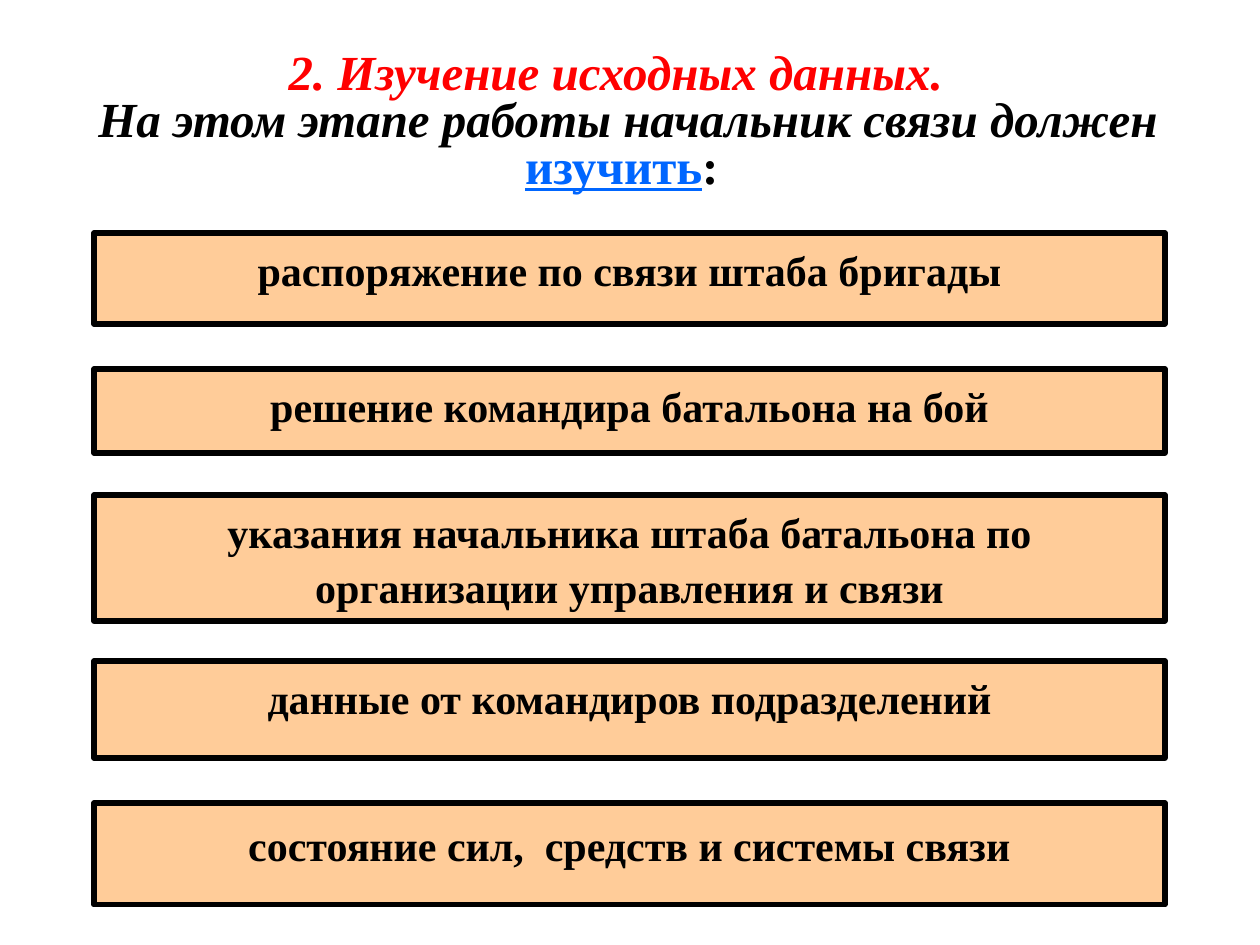
from pptx import Presentation
from pptx.dml.color import RGBColor
from pptx.enum.shapes import MSO_SHAPE
from pptx.enum.text import MSO_ANCHOR, PP_ALIGN
from pptx.util import Emu, Pt

EMU_PER_PX = 914400 // 126
FONT = "Times New Roman"
BLACK = RGBColor(0x00, 0x00, 0x00)
RED = RGBColor(0xFF, 0x00, 0x00)
BLUE = RGBColor(0x00, 0x66, 0xFF)
PEACH = RGBColor(0xFF, 0xCC, 0x99)

# Each heading line is a list of runs: text, colour, italic, underline
HEADING = [
    [("2. Изучение исходных данных.  ", RED, True, False)],
    [
        ("На этом этапе работы начальник связи должен ", BLACK, True, False),
        ("изучить", BLUE, False, True),
        (": ", BLACK, False, False),
    ],
]

# Text, top, height, line spacing
ITEMS = [
    ("распоряжение по связи штаба бригады", 0, 91, 1.1),
    ("решение командира батальона на бой", 136, 84, 1.1),
    ("указания начальника штаба батальона по организации управления и связи",
     262, 126, 1.1),
    ("данные от командиров подразделений", 428, 97, 1.1),
    ("состояние сил,  средств и системы связи", 570, 102, 1.2),
]


def px(length):
    return Emu(length * EMU_PER_PX)


def format_run(run, size, color, italic=False, underline=False):
    font = run.font
    font.name = FONT
    font.size = Pt(size)
    font.bold = True
    font.italic = italic
    font.underline = underline
    font.color.rgb = color


def add_heading(slide, left, top, width, height):
    shape = slide.shapes.add_textbox(px(left), px(top), px(width), px(height))
    text_frame = shape.text_frame
    text_frame.word_wrap = True
    text_frame.vertical_anchor = MSO_ANCHOR.MIDDLE
    for index, line in enumerate(HEADING):
        paragraph = text_frame.add_paragraph() if index else text_frame.paragraphs[0]
        paragraph.alignment = PP_ALIGN.CENTER
        paragraph.line_spacing = 0.8
        for text, color, italic, underline in line:
            run = paragraph.add_run()
            run.text = text
            format_run(run, 28, color, italic, underline)


def add_item(slide, left, top, width, height, text, line_spacing):
    shape = slide.shapes.add_shape(
        MSO_SHAPE.RECTANGLE, px(left), px(top), px(width), px(height))
    shape.shadow.inherit = False
    shape.fill.solid()
    shape.fill.fore_color.rgb = PEACH
    shape.line.color.rgb = BLACK
    shape.line.width = Pt(3)
    text_frame = shape.text_frame
    text_frame.word_wrap = True
    text_frame.vertical_anchor = MSO_ANCHOR.TOP
    text_frame.text = text
    paragraph = text_frame.paragraphs[0]
    paragraph.alignment = PP_ALIGN.CENTER
    paragraph.line_spacing = line_spacing
    format_run(paragraph.runs[0], 24, BLACK)


def add_item_list(slide, left, top, width):
    for text, offset, height, line_spacing in ITEMS:
        add_item(slide, left, top + offset, width, height, text, line_spacing)


def main():
    presentation = Presentation()
    presentation.slide_width = px(1260)
    presentation.slide_height = px(945)
    slide = presentation.slides.add_slide(presentation.slide_layouts[6])

    # Boxes with the data to study, then the heading above them
    add_item_list(slide, 94, 233, 1071)
    add_heading(slide, 14, 42, 1228, 162)

    presentation.save("out.pptx")


if __name__ == "__main__":
    main()
